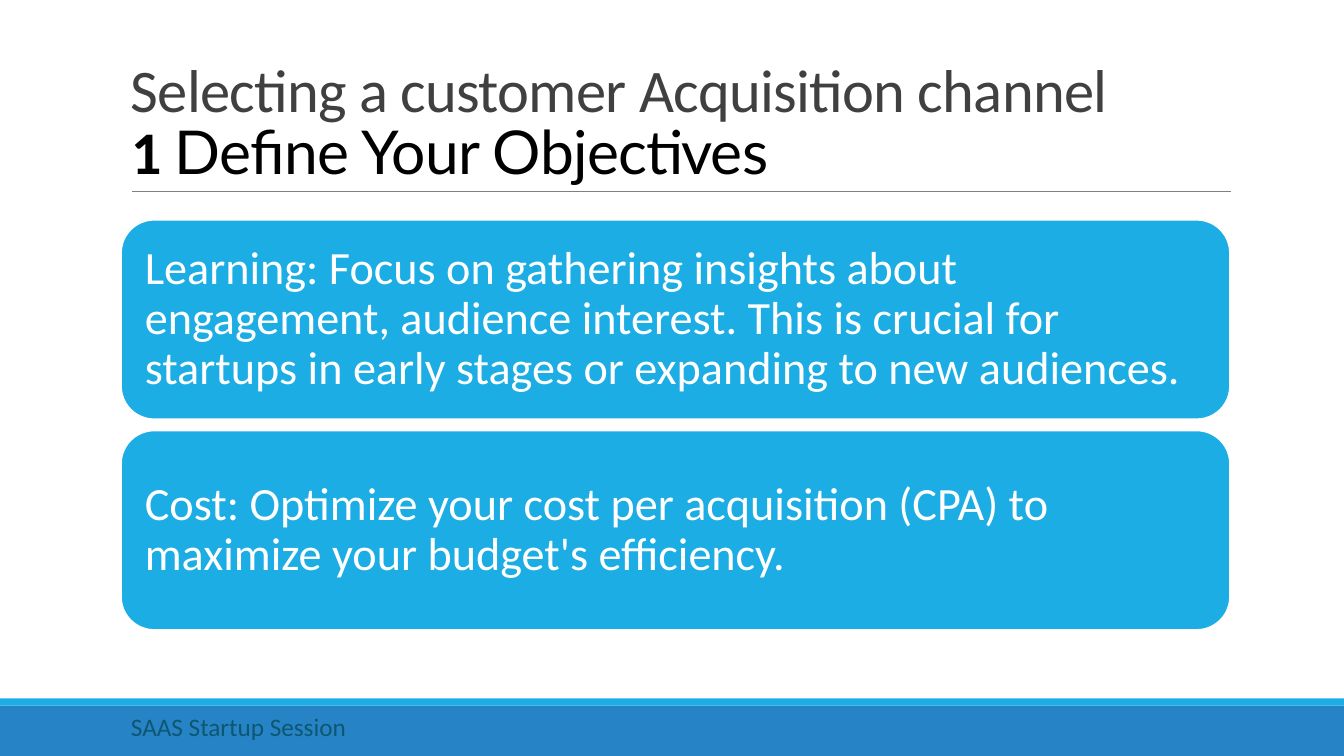
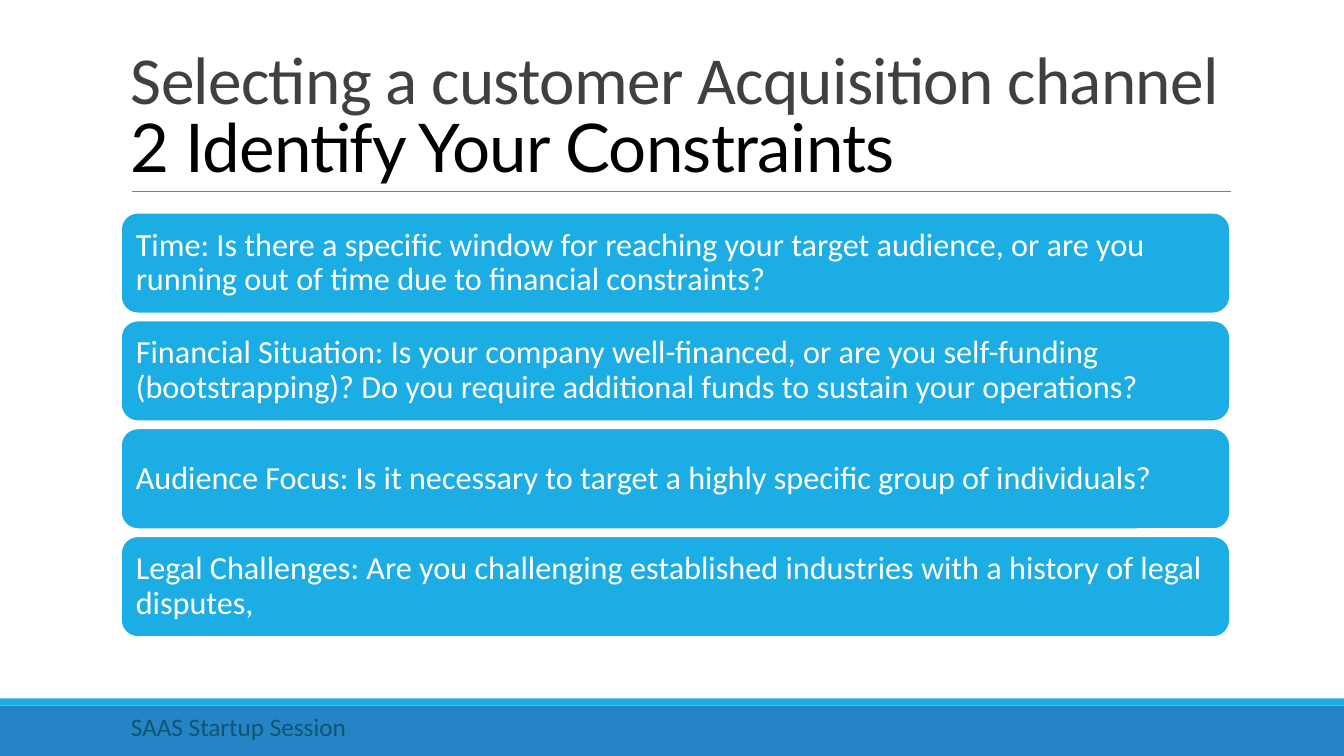
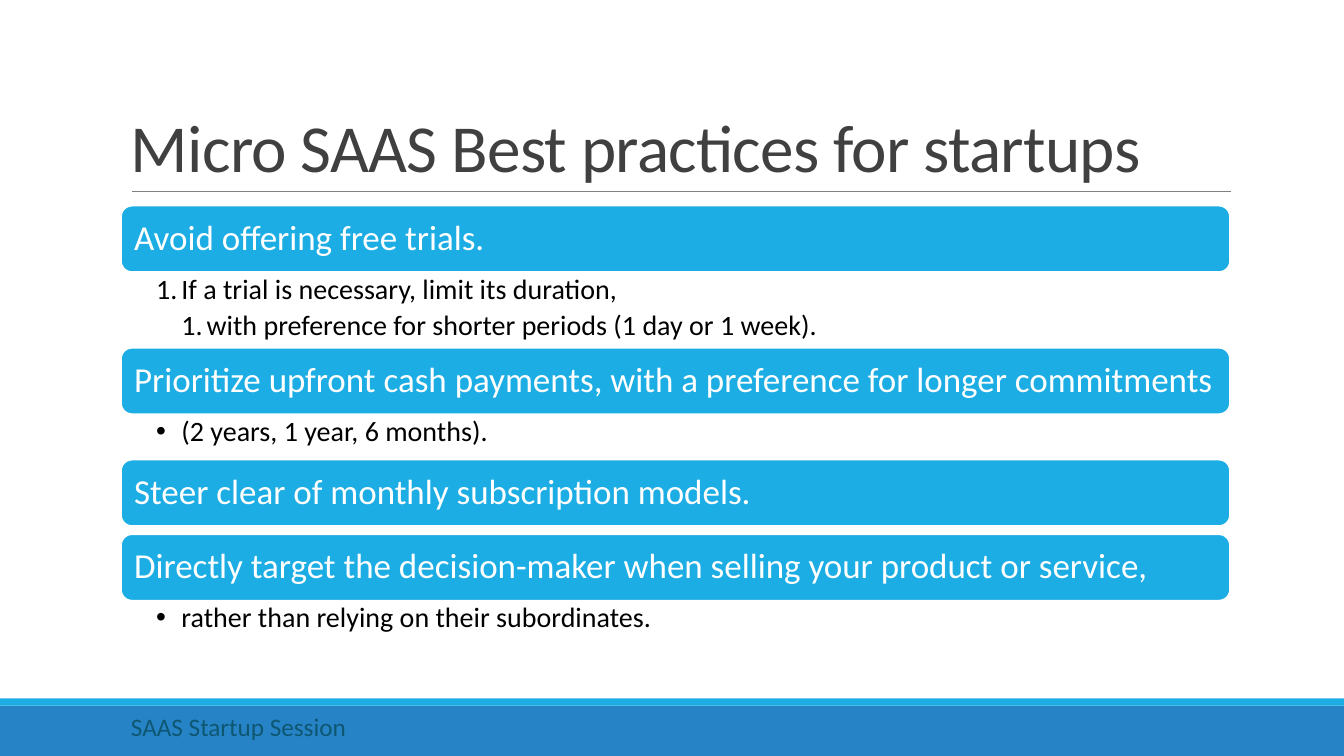
from dataclasses import dataclass
from typing import Any

from lxml.etree import SubElement as Sub
from pptx import Presentation
from pptx.dml.color import RGBColor
from pptx.enum.shapes import MSO_CONNECTOR as Wire, MSO_SHAPE as Form
from pptx.enum.text import MSO_ANCHOR as Anchor, PP_ALIGN as Align
from pptx.oxml.ns import qn
from pptx.util import Inches, Pt

SKY = RGBColor(0x1C, 0xAD, 0xE4)
BLUE = RGBColor(0x26, 0x83, 0xC6)
TEAL = RGBColor(0x0E, 0x57, 0x72)
GRAY = RGBColor(0x80, 0x80, 0x80)
DARK = RGBColor(0x40, 0x40, 0x40)
BLACK = RGBColor(0, 0, 0)
WHITE = RGBColor(255, 255, 255)

LEFT, WIDE = 1.2, 11
PAGE = 13.33
SIDES = ("margin_left", "margin_top", "margin_right", "margin_bottom")
LIST_PAD = (0.35, 0.03, 0.19, 0.03)
CHANNEL = "Selecting a customer Acquisition channel"


@dataclass(frozen=True)
class Part:
    text: str
    color: RGBColor = BLACK
    face: str = "Calibri"
    bold: bool = False


@dataclass(frozen=True)
class Item:
    text: str
    level: int = 1
    number: bool = False


@dataclass(frozen=True)
class Bar:
    text: str
    items: tuple[Item, ...] = ()
    room: float = 0


@dataclass(frozen=True)
class Page:
    title: tuple[tuple[Part, ...], ...]
    size: float
    top: float
    high: float
    gap: float
    pad: float
    font: float
    bars: tuple[Bar, ...]


def put(target: Any, values: dict[str, Any]) -> None:
    for name, value in values.items():
        setattr(target, name, value)


def write(para: Any, part: Part, size: float) -> Any:
    run = para.add_run()
    run.text = part.text
    put(run.font, {"name": part.face, "size": Pt(size), "bold": part.bold})
    run.font.color.rgb = part.color
    return run


def shape(slide: Any, form: Form, box: tuple[float, ...], fill: RGBColor) -> Any:
    item = slide.shapes.add_shape(form, *map(Inches, box))
    item.shadow.inherit = False
    item.fill.solid()
    item.fill.fore_color.rgb = fill
    item.line.fill.background()
    return item


def text_box(slide: Any, box: tuple[float, ...], anchor: Anchor = Anchor.TOP) -> Any:
    frame = slide.shapes.add_textbox(*map(Inches, box)).text_frame
    put(frame, {"word_wrap": True, "vertical_anchor": anchor})
    return frame


def base(slide: Any) -> None:
    shape(slide, Form.RECTANGLE, (0, 7, PAGE, 0.5), BLUE)
    shape(slide, Form.RECTANGLE, (0, 6.93, PAGE, 0.07), SKY)
    ends = map(Inches, (1.31, 1.9, 12.21, 1.9))
    rule = slide.shapes.add_connector(Wire.STRAIGHT, *ends)
    rule.line.color.rgb = GRAY
    rule.line.width = Pt(0.5)
    Sub(rule._element.spPr, qn("a:effectLst"))
    foot = text_box(slide, (LEFT, 7.01, 7.78, 0.4))
    write(foot.paragraphs[0], Part("SAAS Startup Session", TEAL), 18)


def head(slide: Any, page: Page) -> None:
    para = text_box(slide, (LEFT, 0.31, WIDE, 1.59), Anchor.BOTTOM).paragraphs[0]
    para.line_spacing = 0.85
    for row, parts in enumerate(page.title):
        if row:
            para.add_line_break()
        for part in parts:
            run = write(para, part, page.size)
            run._r.get_or_add_rPr().set("spc", "-50")


def panel(slide: Any, page: Page, bar: Bar, top: float) -> None:
    item = shape(slide, Form.ROUNDED_RECTANGLE, (LEFT, top, WIDE, page.high), SKY)
    item.line.color.rgb = WHITE
    item.line.width = Pt(1.25)
    frame = item.text_frame
    put(frame, {"word_wrap": True, "vertical_anchor": Anchor.MIDDLE})
    put(frame, dict.fromkeys(SIDES, Inches(page.pad)))
    para = frame.paragraphs[0]
    put(para, {"alignment": Align.LEFT, "line_spacing": 0.9})
    write(para, Part(bar.text, WHITE), page.font)


def notes(slide: Any, bar: Bar, top: float) -> None:
    frame = text_box(slide, (LEFT, top, WIDE, bar.room))
    put(frame, dict(zip(SIDES, map(Inches, LIST_PAD))))
    for spot, item in enumerate(bar.items):
        para = frame.add_paragraph() if spot else frame.paragraphs[0]
        put(para, {"level": item.level, "line_spacing": 0.9, "space_after": Pt(4)})
        props = para._p.get_or_add_pPr()
        props.set("marL", str(Inches(0.25 * item.level)))
        props.set("indent", str(Inches(-0.25)))
        if item.number:
            Sub(props, qn("a:buFont"), typeface="+mj-lt")
            Sub(props, qn("a:buAutoNum"), type="arabicPeriod")
        else:
            Sub(props, qn("a:buFont"), typeface="Arial")
            Sub(props, qn("a:buChar"), char="•")
        write(para, Part(item.text), 20)


def draw(deck: Any, page: Page) -> None:
    slide = deck.slides.add_slide(deck.slide_layouts[6])
    base(slide)
    head(slide, page)
    top = page.top
    for bar in page.bars:
        panel(slide, page, bar, top)
        top += page.high
        if bar.items:
            notes(slide, bar, top)
        top += bar.room or page.gap


PAGES = (
    Page(
        ((Part(CHANNEL, DARK),),
         (Part("1 ", bold=True), Part("Define Your Objectives", face="Lato"))),
        43.2, 2.18, 1.98, 0.11, 0.14, 33,
        (
            Bar("Learning: Focus on gathering insights about engagement, audience "
                "interest. This is crucial for startups in early stages or "
                "expanding to new audiences."),
            Bar("Cost: Optimize your cost per acquisition (CPA) to maximize your "
                "budget's efficiency."),
        ),
    ),
    Page(
        ((Part(CHANNEL, DARK),), (Part("2 Identify Your Constraints", face="Lato"),)),
        48, 2.11, 1, 0.07, 0.1, 23,
        (
            Bar("Time: Is there a specific window for reaching your target "
                "audience, or are you running out of time due to financial "
                "constraints?"),
            Bar("Financial Situation: Is your company well-financed, or are you "
                "self-funding (bootstrapping)? Do you require additional funds to "
                "sustain your operations?"),
            Bar("Audience Focus: Is it necessary to target a highly specific group "
                "of individuals?"),
            Bar("Legal Challenges: Are you challenging established industries with "
                "a history of legal disputes,"),
        ),
    ),
    Page(
        ((Part("Micro SAAS Best practices for startups", DARK),),),
        48, 2.04, 0.66, 0.08, 0.1, 25,
        (
            Bar("Avoid offering free trials.",
                (Item("If a trial is necessary, limit its duration,", 1, True),
                 Item("with preference for shorter periods (1 day or 1 week).", 2, True)),
                0.75),
            Bar("Prioritize upfront cash payments, with a preference for longer "
                "commitments",
                (Item("(2 years, 1 year, 6 months)."),), 0.45),
            Bar("Steer clear of monthly subscription models."),
            Bar("Directly target the decision-maker when selling your product or "
                "service,",
                (Item("rather than relying on their subordinates."),), 0.45),
        ),
    ),
)


def main() -> None:
    deck = Presentation()
    put(deck, {"slide_width": Inches(PAGE), "slide_height": Inches(7.5)})
    for page in PAGES:
        draw(deck, page)
    deck.save("out.pptx")


main()
